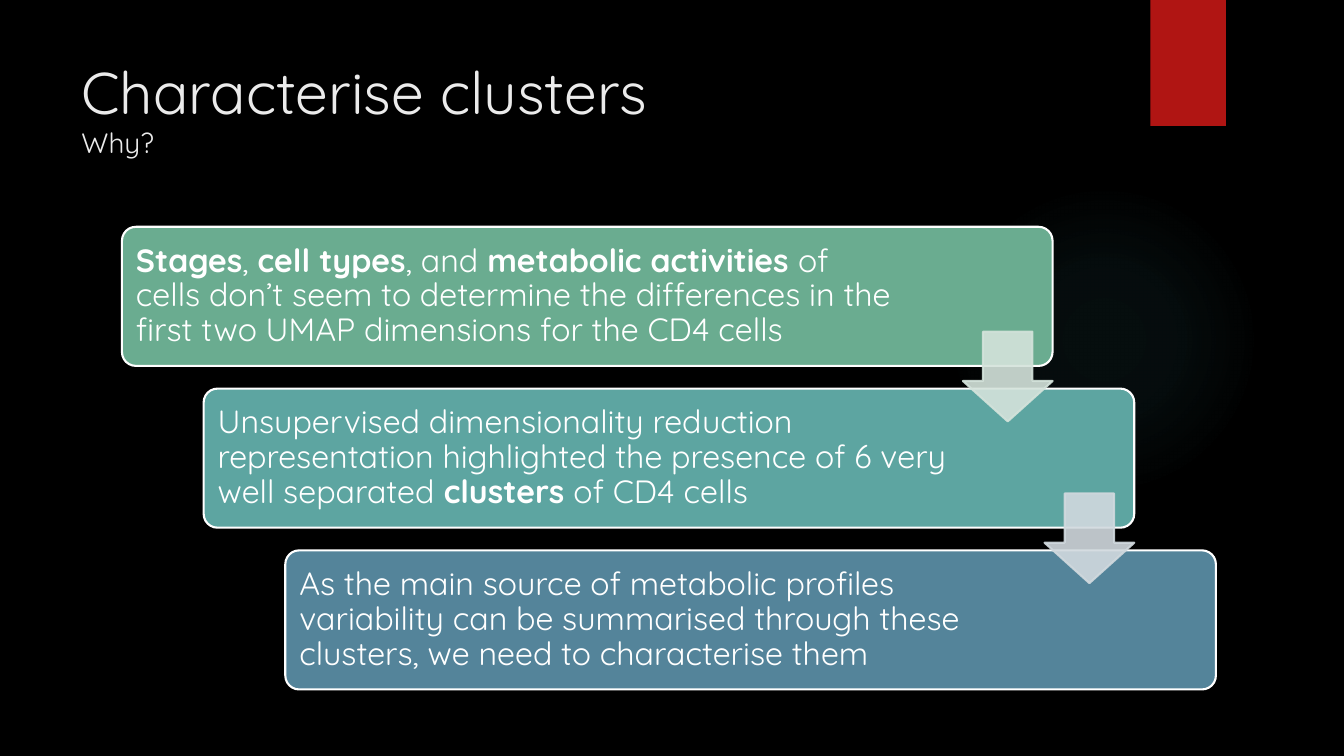
from lxml import etree
from pptx import Presentation
from pptx.dml.color import RGBColor
from pptx.enum.shapes import MSO_SHAPE
from pptx.enum.text import MSO_ANCHOR
from pptx.oxml import parse_xml
from pptx.oxml.ns import nsdecls, qn
from pptx.util import Inches, Pt

OVAL, RECT = MSO_SHAPE.OVAL, MSO_SHAPE.RECTANGLE
ROUND, ARROW = MSO_SHAPE.ROUNDED_RECTANGLE, MSO_SHAPE.DOWN_ARROW
TOP, MIDDLE = MSO_ANCHOR.TOP, MSO_ANCHOR.MIDDLE

BLACK = RGBColor(0x00, 0x00, 0x00)
WHITE = RGBColor(0xFF, 0xFF, 0xFF)
PALE = RGBColor(0xEB, 0xEB, 0xEB)
RED = RGBColor(0xB0, 0x15, 0x13)
GREEN = RGBColor(0x6A, 0xAC, 0x90)
TEAL = RGBColor(0x5D, 0xA5, 0xA1)
BLUE = RGBColor(0x54, 0x84, 0x9A)
MINT = RGBColor(0xD4, 0xE3, 0xDB)
MIST = RGBColor(0xD1, 0xD9, 0xDE)
GLOW = "50B9C1"
FONT = "Quicksand"

TITLE, ASK = "Characterise clusters", "Why?"
# Each step: card colour, text width, runs of (text, bold)
STEPS = [
    (GREEN, 7.74, [
        ("Stages", True), (", ", False), ("cell types", True), (", and ", False),
        ("metabolic activities", True),
        (" of cells don’t seem to determine the differences in the first two "
         "UMAP dimensions for the CD4 cells", False)]),
    (TEAL, 7.44, [
        ("Unsupervised dimensionality reduction representation highlighted the "
         "presence of 6 very well separated ", False),
        ("clusters", True), (" of CD4 cells", False)]),
    (BLUE, 7.44, [
        ("As the main source of metabolic profiles variability can be summarised "
         "through these clusters, we need to characterise them", False)]),
]
ARROWS = [MINT, MIST]

LEFT, UPPER = 1.21, 2.25
WIDE, HIGH = 9.23, 1.38
STEP_X, STEP_Y = 0.81, 1.605
PAD, TIP = 0.04, 0.89
GLOW_STOPS = [(0, 7), (36, 6), (69, 0)]  # position and opacity, percent


def add_shape(slide, kind, box, fill, line=None):
    shape = slide.shapes.add_shape(kind, *map(Inches, box))
    shape.shadow.inherit = False
    shape.fill.solid()
    shape.fill.fore_color.rgb = fill
    if line is None:
        shape.line.fill.background()
    else:
        shape.line.color.rgb = line
        shape.line.width = Pt(1.5)
    return shape


def add_box(slide, box, anchor):
    frame = slide.shapes.add_textbox(*map(Inches, box)).text_frame
    frame.word_wrap = True
    frame.vertical_anchor = anchor
    return frame


def add_run(para, text, size, color, bold=False):
    run = para.add_run()
    run.text = text
    font = run.font
    font.name, font.size, font.bold = FONT, Pt(size), bold
    font.color.rgb = color


def add_glow(slide):
    shape = add_shape(slide, OVAL, (9.41, 1.83, 3.08, 3.08), BLACK)
    stops = "".join(
        f'<a:gs pos="{pos * 1000}"><a:srgbClr val="{GLOW}">'
        f'<a:alpha val="{alpha * 1000}"/></a:srgbClr></a:gs>'
        for pos, alpha in GLOW_STOPS)
    grad = parse_xml(
        f'<a:gradFill {nsdecls("a")} rotWithShape="1"><a:gsLst>{stops}</a:gsLst>'
        '<a:path path="circle"><a:fillToRect l="50000" t="50000" r="50000" '
        'b="50000"/></a:path></a:gradFill>')
    props = shape.element.spPr
    props.replace(props.find(qn("a:solidFill")), grad)


def add_tab(slide):
    """Red marker at the top edge, with a soft shadow below it."""
    shape = add_shape(slide, RECT, (11.41, 0, 0.75, 1.25), RED)
    effects = shape.element.spPr.find(qn("a:effectLst"))
    effects.append(parse_xml(
        f'<a:outerShdw {nsdecls("a")} blurRad="38100" dist="25400" dir="5400000" '
        'rotWithShape="0"><a:srgbClr val="000000"><a:alpha val="45000"/>'
        '</a:srgbClr></a:outerShdw>'))


def add_title(slide):
    para = add_box(slide, (0.71, 0.5, 10.29, 1.53), TOP).paragraphs[0]
    add_run(para, TITLE, 42, PALE)
    para.add_line_break()
    add_run(para, ASK, 20, PALE)


def add_card(slide, x, y, color, width, runs):
    card = add_shape(slide, ROUND, (x, y, WIDE, HIGH), color, WHITE)
    card.adjustments[0] = 0.1
    frame = add_box(slide, (x + PAD, y + PAD, width, HIGH - 2 * PAD), MIDDLE)
    frame.margin_left = frame.margin_right = Inches(0.1)
    frame.margin_top = frame.margin_bottom = Inches(0.1)
    para = frame.paragraphs[0]
    para.line_spacing = 0.9
    for text, bold in runs:
        add_run(para, text, 23, WHITE, bold)


def add_arrow(slide, x, y, color):
    arrow = add_shape(slide, ARROW, (x, y, TIP, TIP), color, color)
    arrow.adjustments[0], arrow.adjustments[1] = 0.55, 0.45
    for tint in arrow.element.spPr.iter(qn("a:srgbClr")):
        etree.SubElement(tint, qn("a:alpha")).set("val", "90000")


def main():
    deck = Presentation()
    deck.slide_width, deck.slide_height = Inches(13.33), Inches(7.5)
    slide = deck.slides.add_slide(deck.slide_layouts[6])
    slide.background.fill.solid()
    slide.background.fill.fore_color.rgb = BLACK

    add_glow(slide)
    add_tab(slide)
    add_title(slide)
    spots = [(LEFT + i * STEP_X, UPPER + i * STEP_Y) for i in range(len(STEPS))]
    for (x, y), step in zip(spots, STEPS):
        add_card(slide, x, y, *step)
    for (x, y), color in zip(spots, ARROWS):
        add_arrow(slide, x + WIDE - TIP, y + 1.04, color)
    deck.save("out.pptx")


if __name__ == "__main__":
    main()
